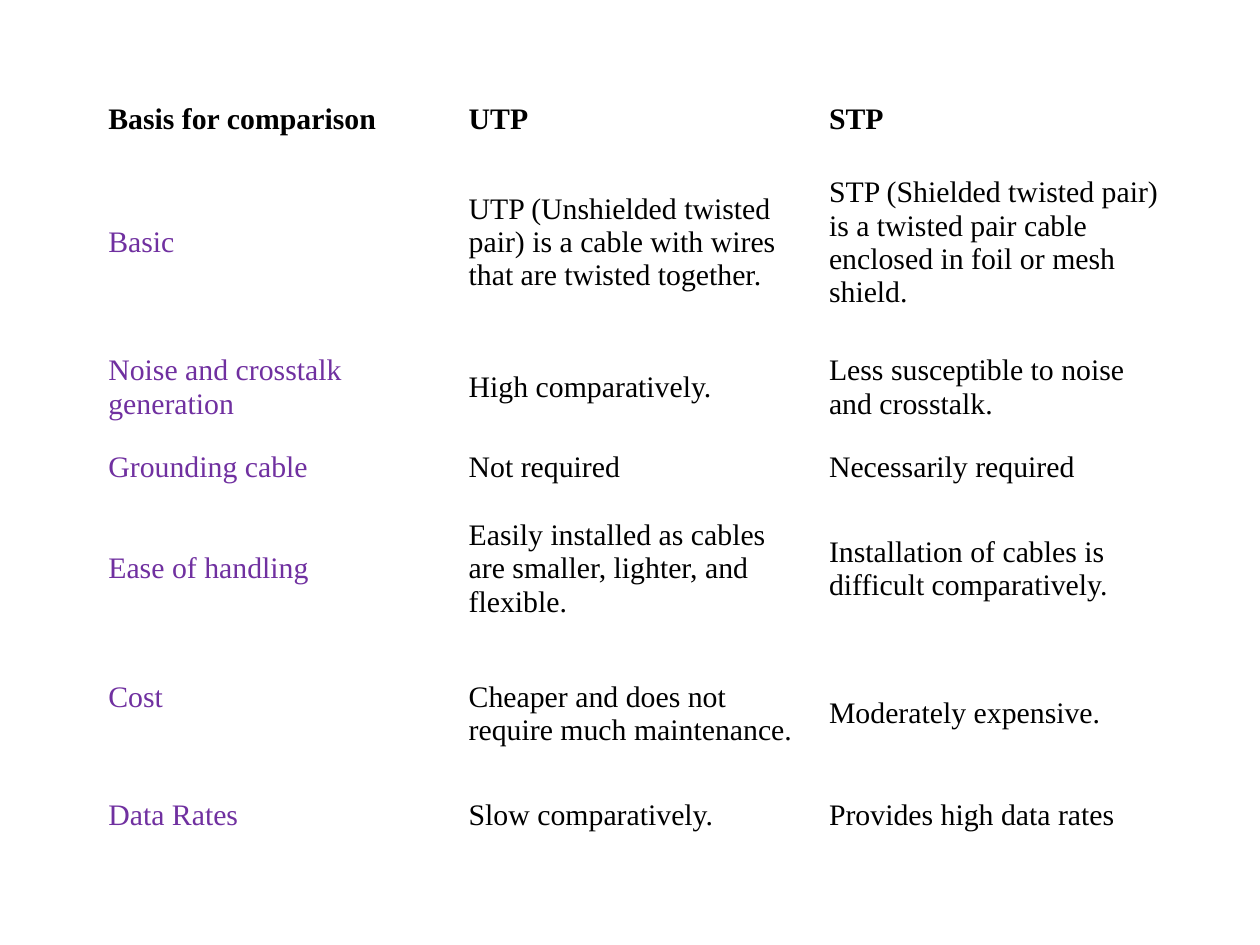
from pptx import Presentation
from pptx import util as u
from pptx.dml.color import RGBColor
from pptx.enum import text

BLACK = RGBColor(0x00, 0x00, 0x00)
PURPLE = RGBColor(0x70, 0x30, 0xA0)
FONT = "Times New Roman"
SIZE = u.Pt(17)
LEFT, TOP, COLUMN = u.Inches(0.76), u.Inches(0.72), u.Inches(2.86)
ROW_HEIGHTS = [0.46, 1.49, 0.81, 0.46, 1.15, 1.15, 0.46]
COST_ROW = 5
LINE = u.Inches(0.26)

ROWS = [
    ("Basis for comparison", "UTP", "STP"),
    ("Basic",
     "UTP (Unshielded twisted pair) is a cable with wires that are twisted together.",
     "STP (Shielded twisted pair) is a twisted pair cable enclosed in foil or mesh shield."),
    ("Noise and crosstalk generation", "High comparatively.",
     "Less susceptible to noise and crosstalk."),
    ("Grounding cable", "Not required", "Necessarily required"),
    ("Ease of handling",
     "Easily installed as cables are smaller, lighter, and flexible.",
     "Installation of cables is difficult comparatively."),
    ("Cost", "Cheaper and does not require much maintenance.", "Moderately expensive."),
    ("Data Rates", "Slow comparatively.", "Provides high data rates"),
]


def fill_cell(cell, words, color, bold):
    """Write one unfilled, vertically centred cell."""
    cell.fill.background()
    cell.vertical_anchor = text.MSO_ANCHOR.MIDDLE
    cell.text_frame.text = words
    font = cell.text_frame.paragraphs[0].runs[0].font
    font.name, font.size, font.bold = FONT, SIZE, bold
    font.color.rgb = color


def add_comparison(s):
    """Add the cable comparison table with a bold header and purple labels."""
    heights = [u.Inches(h) for h in ROW_HEIGHTS]
    columns = len(ROWS[0])
    table = s.shapes.add_table(len(ROWS), columns, LEFT, TOP,
                               COLUMN * columns, sum(heights)).table
    table.first_row = table.horz_banding = False
    for column in table.columns:
        column.width = COLUMN
    for i, (height, row) in enumerate(zip(heights, ROWS)):
        table.rows[i].height = height
        for j, words in enumerate(row):
            color = PURPLE if i > 0 and j == 0 else BLACK
            fill_cell(table.cell(i, j), words, color, i == 0)
    cost = table.cell(COST_ROW, 0)
    cost.margin_bottom = cost.margin_bottom + LINE


def main():
    """Build the slide and save it."""
    prs = Presentation()
    prs.slide_width, prs.slide_height = u.Inches(10), u.Inches(7.5)
    s = prs.slides.add_slide(prs.slide_layouts[6])
    add_comparison(s)
    prs.save("out.pptx")


if __name__ == "__main__":
    main()
